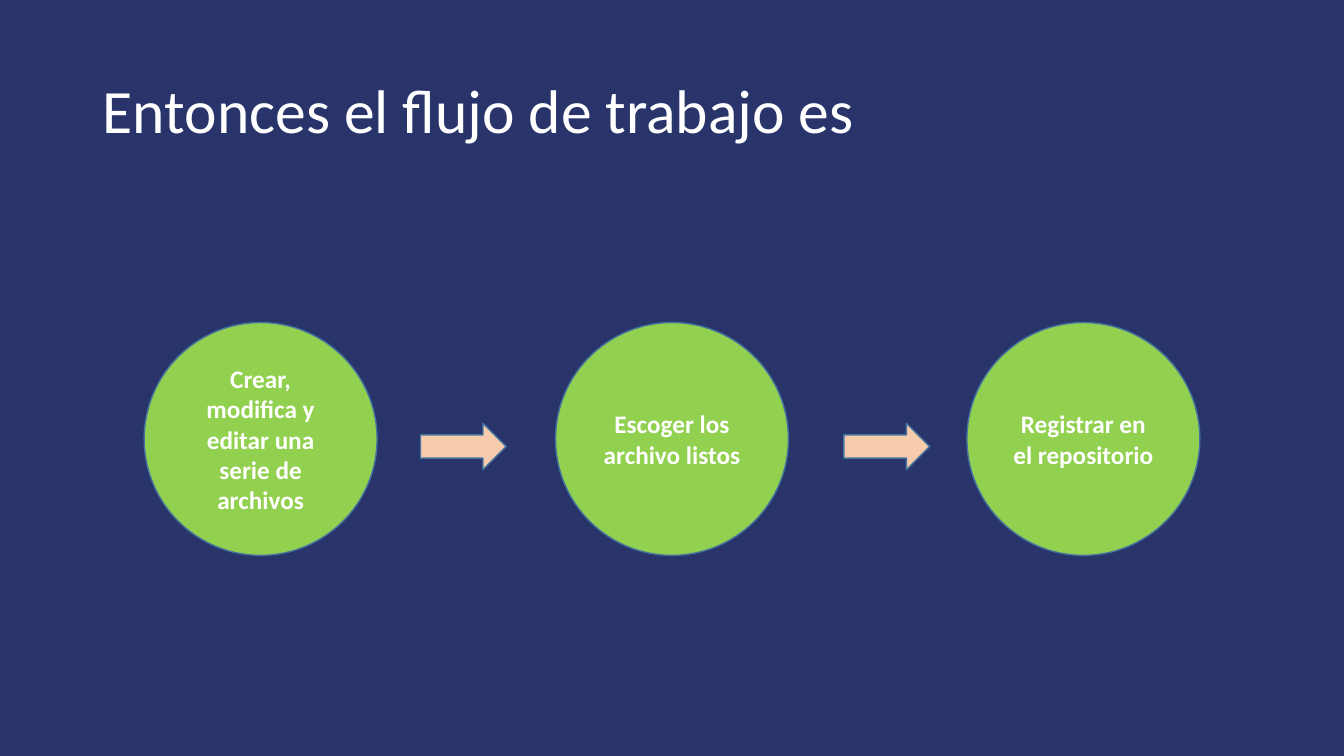
"""Build a slide showing a three-step workflow of circles joined by arrows."""

from dataclasses import dataclass

from pptx import Presentation
from pptx.dml.color import RGBColor
from pptx.enum.shapes import MSO_SHAPE
from pptx.enum.text import MSO_ANCHOR, PP_ALIGN
from pptx.util import Inches, Pt

CIRCLE = MSO_SHAPE.OVAL
ARROW = MSO_SHAPE.RIGHT_ARROW
MIDDLE = MSO_ANCHOR.MIDDLE
CENTER = PP_ALIGN.CENTER
LEFT = PP_ALIGN.LEFT

FONT = "Calibri"
NAVY = "29356A"
WHITE = "FFFFFF"
GREEN = "92D050"
PEACH = "F8CBAD"
OUTLINE = "43739E"

TITLE = "Entonces el flujo de trabajo es"
STEPS = (
    "Crear, modifica y editar una serie de archivos",
    "Escoger los archivo listos",
    "Registrar en el repositorio",
)
FIRST_STEP_LEFT, STEP_PITCH = 1.43, 4.08
FIRST_ARROW_LEFT, ARROW_PITCH = 4.17, 4.2


@dataclass(frozen=True)
class FlowShape:
    kind: MSO_SHAPE
    left: float
    top: float
    width: float
    height: float
    fill: str
    text: str = ""


def color(value: str) -> RGBColor:
    return RGBColor.from_string(value)


def write(shape, text: str, size: int, bold: bool, alignment: PP_ALIGN):
    frame = shape.text_frame
    frame.word_wrap = True
    frame.vertical_anchor = MIDDLE
    para = frame.paragraphs[0]
    para.alignment = alignment
    span = para.add_run()
    span.text = text
    span.font.name = FONT
    span.font.size = Pt(size)
    span.font.bold = bold
    span.font.color.rgb = color(WHITE)
    return para


def draw(page, item: FlowShape) -> None:
    shape = page.shapes.add_shape(
        item.kind, Inches(item.left), Inches(item.top), Inches(item.width), Inches(item.height)
    )
    shape.shadow.inherit = False
    shape.fill.solid()
    shape.fill.fore_color.rgb = color(item.fill)
    shape.line.color.rgb = color(OUTLINE)
    shape.line.width = Pt(1)
    if item.text:
        write(shape, item.text, 18, True, CENTER)


deck = Presentation()
deck.slide_width = Inches(13.33)
deck.slide_height = Inches(7.5)
page = deck.slides.add_slide(deck.slide_layouts[6])
page.background.fill.solid()
page.background.fill.fore_color.rgb = color(NAVY)

title_box = page.shapes.add_textbox(Inches(0.92), Inches(0.4), Inches(11.5), Inches(1.45))
write(title_box, TITLE, 44, False, LEFT).line_spacing = 0.9

circles = [
    FlowShape(CIRCLE, FIRST_STEP_LEFT + index * STEP_PITCH, 3.2, 2.31, 2.31, GREEN, text)
    for index, text in enumerate(STEPS)
]
arrows = [
    FlowShape(ARROW, FIRST_ARROW_LEFT + index * ARROW_PITCH, 4.2, 0.85, 0.46, PEACH)
    for index in range(len(STEPS) - 1)
]
for item in circles + arrows:
    draw(page, item)

deck.save("out.pptx")
